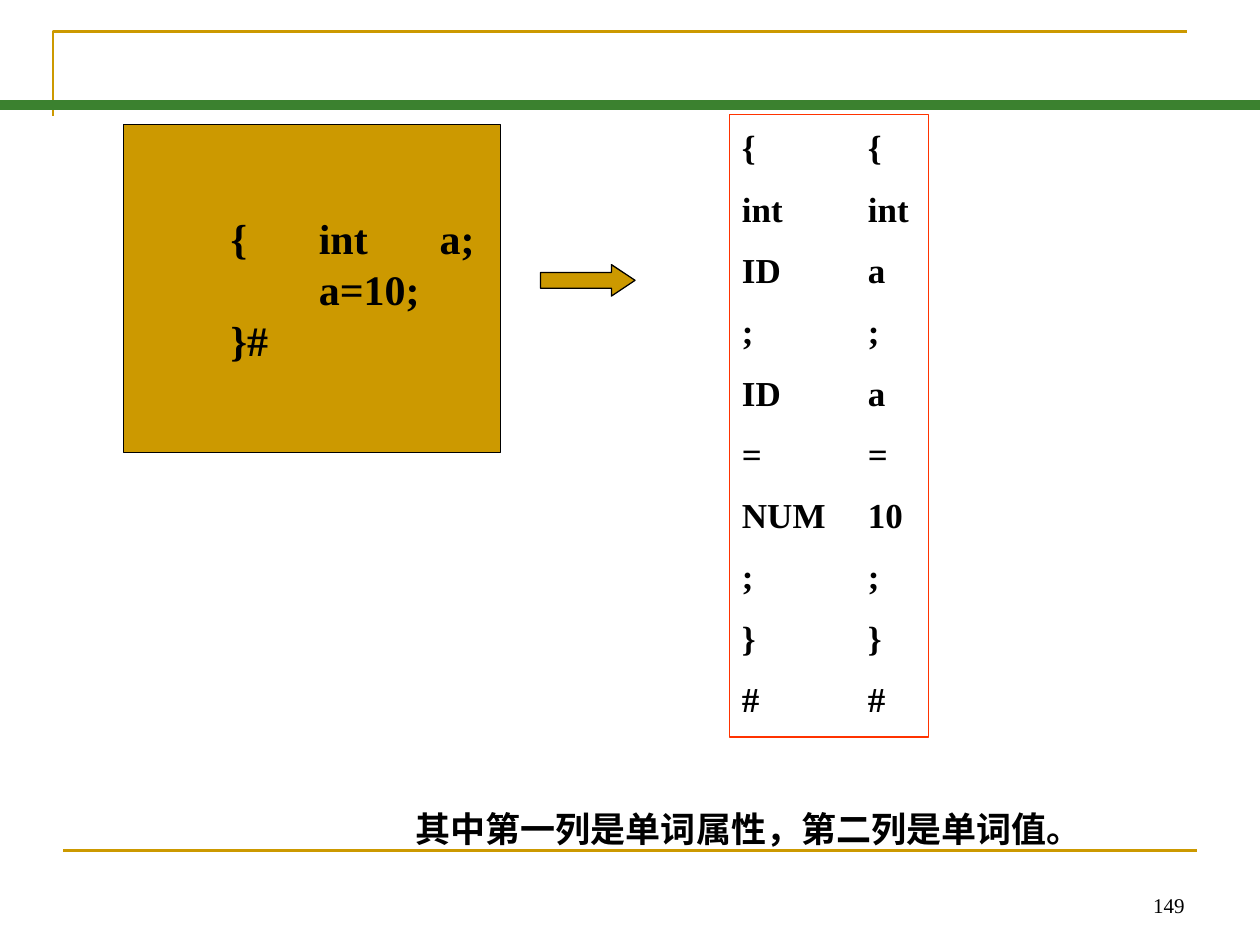
from pptx import Presentation
from pptx import util as u
from pptx.dml.color import RGBColor
from pptx.enum import shapes, text
from pptx.oxml.ns import qn
from lxml import etree

WIDTH, HEIGHT = 10, 7.5
GOLD, GREEN, RED, BLACK = "CC9900", "3B812F", "FF3300", "000000"
TOKENS = [("{", "{"), ("int", "int"), ("ID", "a"), (";", ";"), ("ID", "a"),
          ("=", "="), ("NUM", "10"), (";", ";"), ("}", "}"), ("#", "#")]
CODE = ["{\tint\ta;", "\ta=10;", "}#"]


def color(value):
    """Turn a hex string into a colour."""
    return RGBColor.from_string(value)


def inches(*values):
    """Turn numbers into lengths."""
    return [u.Inches(value) for value in values]


def style_line(line, value, width):
    """Set the colour and width of a line."""
    line.color.rgb = color(value)
    line.width = u.Pt(width)


def add_rule(page, start, end, value, width):
    """Draw a straight line without a shadow."""
    rule = page.shapes.add_connector(shapes.MSO_CONNECTOR.STRAIGHT, *inches(*start, *end))
    style_line(rule.line, value, width)
    etree.SubElement(rule._element.spPr, qn("a:effectLst"))


def add_block(page, kind, box, fill, line):
    """Draw a preset shape with a thin outline."""
    block = page.shapes.add_shape(kind, *inches(*box))
    block.shadow.inherit = False
    if fill:
        block.fill.solid()
        block.fill.fore_color.rgb = color(fill)
    else:
        block.fill.background()
    style_line(block.line, line, 0.75)
    return block


def write(shape, lines, size, bold=True, align=text.PP_ALIGN.LEFT,
          anchor=text.MSO_ANCHOR.TOP, gap=0, tabs=(), spacing=None):
    """Fill a shape with evenly spaced paragraphs sharing tab stops."""
    frame = shape.text_frame
    frame.word_wrap = True
    frame.vertical_anchor = anchor
    for index, line in enumerate(lines):
        para = frame.paragraphs[0] if index == 0 else frame.add_paragraph()
        para.text = line
        para.alignment = align
        if index and gap:
            para.space_before = u.Pt(gap)
        if spacing:
            para.line_spacing = u.Pt(spacing)
        if tabs:
            stops = etree.SubElement(para._p.get_or_add_pPr(), qn("a:tabLst"))
            for stop in tabs:
                etree.SubElement(stops, qn("a:tab"), pos=str(u.Inches(stop)), algn="l")
        para.font.name = "Times New Roman"
        para.font.size = u.Pt(size)
        para.font.bold = bold
        para.font.color.rgb = color(BLACK)
    return frame


def add_frame(page, width, height):
    """Draw the corner, header bar and footer rule."""
    left, top, bar = 0.42, 0.25, height / 9
    builder = page.shapes.build_freeform(*inches(left, top + 0.67))
    builder.add_line_segments([inches(left, top), inches(left + 0.9 * width, top)], close=False)
    corner = builder.convert_to_shape()
    corner.shadow.inherit = False
    corner.fill.background()
    style_line(corner.line, GOLD, 1.5)
    add_rule(page, (0.05 * width, 0.9 * height), (0.95 * width, 0.9 * height), GOLD, 1.5)
    add_rule(page, (0, bar), (width, bar), GREEN, 6)


def add_code(page, box):
    """Draw the source program panel."""
    panel = add_block(page, shapes.MSO_SHAPE.RECTANGLE, box, GOLD, BLACK)
    frame = write(panel, CODE, 24, anchor=text.MSO_ANCHOR.MIDDLE,
                  tabs=(0.7, 1.66), spacing=29)
    frame.margin_left = u.Inches(0.85)


def add_arrow(page, box):
    """Draw the arrow from the program to its tokens."""
    arrow = add_block(page, shapes.MSO_SHAPE.RIGHT_ARROW, box, GOLD, BLACK)
    arrow.adjustments[0], arrow.adjustments[1] = 0.5, 0.75


def add_tokens(page, box):
    """Draw the list of token classes and values."""
    panel = add_block(page, shapes.MSO_SHAPE.RECTANGLE, box, None, RED)
    frame = write(panel, ["\t".join(pair) for pair in TOKENS], 20, gap=11, tabs=(1,))
    frame.margin_top = u.Inches(0.09)


def add_label(page, box, words, size, bold, align):
    """Place one line of text at the bottom of a box."""
    label = page.shapes.add_textbox(*inches(*box))
    write(label, [words], size, bold, align, text.MSO_ANCHOR.BOTTOM)


def main():
    """Build and save the deck."""
    deck = Presentation()
    deck.slide_width, deck.slide_height = inches(WIDTH, HEIGHT)
    page = deck.slides.add_slide(deck.slide_layouts[6])
    add_frame(page, WIDTH, HEIGHT)
    add_label(page, (3.2, 5.86, 7.42, 0.93), "其中第一列是单词属性，第二列是单词值。",
              20, True, text.PP_ALIGN.LEFT)
    add_tokens(page, (5.79, 0.91, 1.58, 4.94))
    add_arrow(page, (4.29, 2.1, 0.75, 0.25))
    add_code(page, (0.98, 0.99, 2.99, 2.6))
    add_label(page, (7.17, 6.83, 2.33, 0.5), "149", 12, False, text.PP_ALIGN.RIGHT)
    deck.save("out.pptx")


if __name__ == "__main__":
    main()
